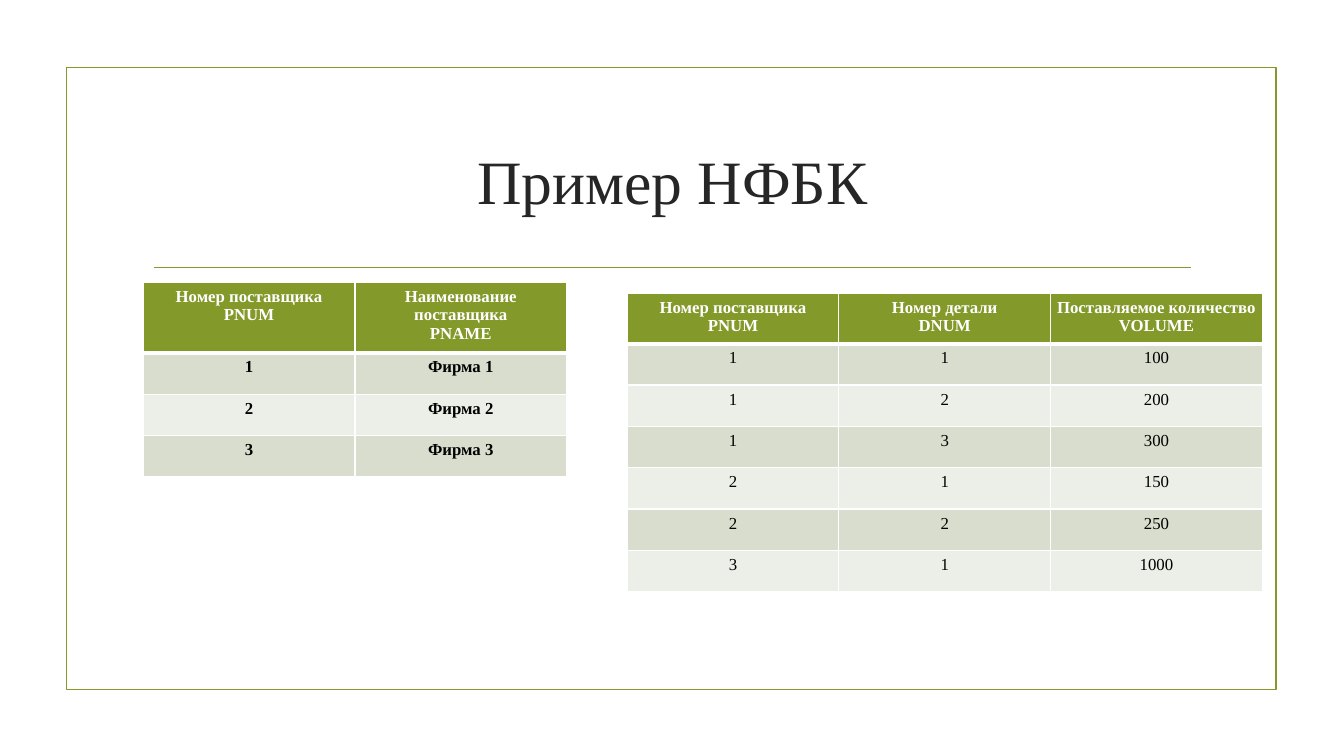
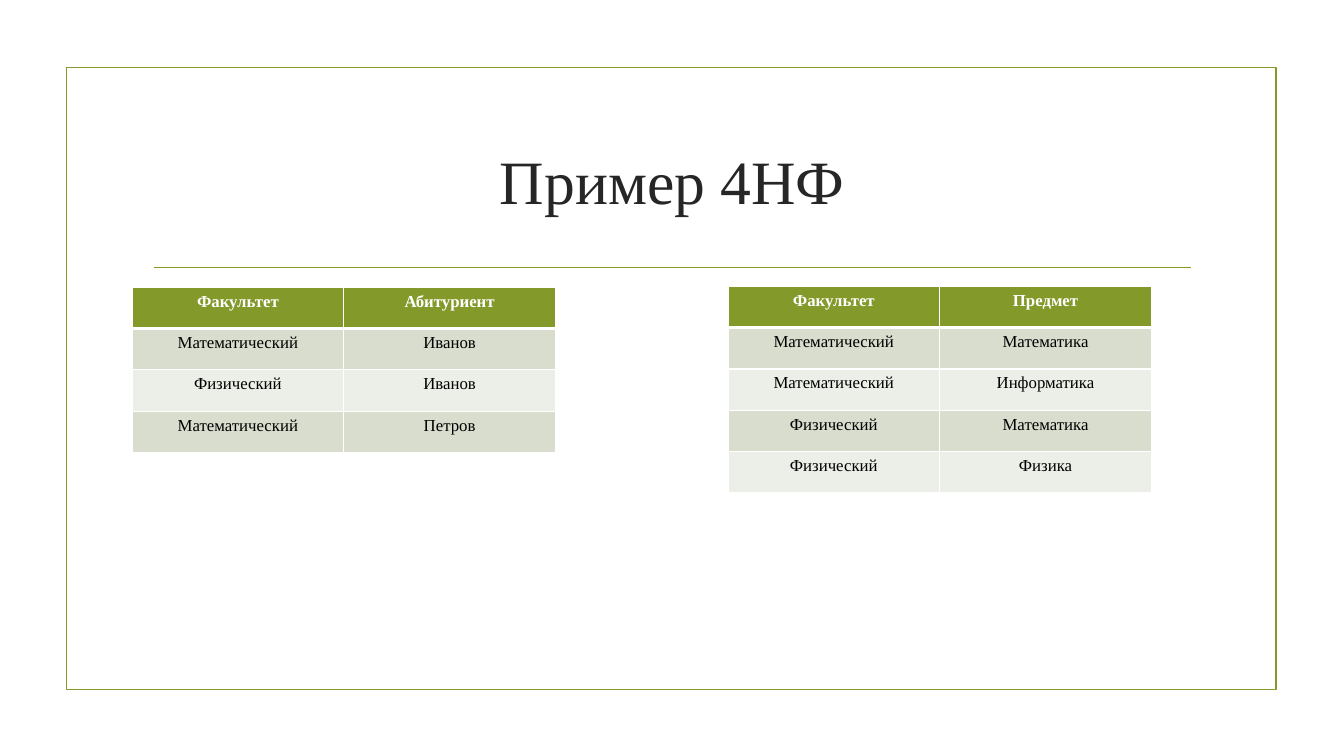
from dataclasses import dataclass

from pptx import Presentation
from pptx.dml.color import RGBColor
from pptx.enum.shapes import MSO_CONNECTOR, MSO_SHAPE
from pptx.enum.text import MSO_ANCHOR, PP_ALIGN
from pptx.oxml.ns import qn
from pptx.slide import Slide
from pptx.table import _Cell as Cell
from pptx.text.text import _Paragraph as Paragraph
from pptx.util import Inches, Pt
from lxml.etree import SubElement

# Shared style
GREEN = RGBColor(0x83, 0x99, 0x2A)
TITLE_GRAY = RGBColor(0x26, 0x26, 0x26)
BLACK = RGBColor(0x00, 0x00, 0x00)
WHITE = RGBColor(0xFF, 0xFF, 0xFF)
BAND_COLORS = (RGBColor(0xD8, 0xDD, 0xCD), RGBColor(0xEC, 0xEF, 0xE7))
FONT = "Times New Roman"
COLUMN_WIDTH = Inches(2.1)
ROW_HEIGHT = Inches(0.41)
THIN_BORDER = Pt(0.96)
HEADER_BORDER = Pt(3)


@dataclass(frozen=True)
class TableSpec:
    left: float
    top: float
    header: tuple[str, ...]
    rows: tuple[tuple[str, ...], ...]
    bold_body: bool = False


@dataclass(frozen=True)
class SlideSpec:
    title: str
    tables: tuple[TableSpec, ...]


SLIDES = (
    SlideSpec("Пример НФБК", (
        TableSpec(
            1.42, 2.8,
            ("Номер поставщика\nPNUM", "Наименование поставщика\nPNAME"),
            (("1", "Фирма 1"), ("2", "Фирма 2"), ("3", "Фирма 3")),
            bold_body=True,
        ),
        TableSpec(
            6.22, 2.91,
            ("Номер поставщика\nPNUM", "Номер детали\nDNUM",
             "Поставляемое количество\nVOLUME"),
            (("1", "1", "100"), ("1", "2", "200"), ("1", "3", "300"),
             ("2", "1", "150"), ("2", "2", "250"), ("3", "1", "1000")),
        ),
    )),
    SlideSpec("Пример 4НФ", (
        TableSpec(
            1.31, 2.85,
            ("Факультет", "Абитуриент"),
            (("Математический", "Иванов"), ("Физический", "Иванов"),
             ("Математический", "Петров")),
        ),
        TableSpec(
            7.22, 2.84,
            ("Факультет", "Предмет"),
            (("Математический", "Математика"), ("Математический", "Информатика"),
             ("Физический", "Математика"), ("Физический", "Физика")),
        ),
    )),
)


def write_text(paragraph: Paragraph, text: str, size: float,
               color: RGBColor, bold: bool = False) -> None:
    paragraph.text = text
    paragraph.alignment = PP_ALIGN.CENTER
    font = paragraph.font
    font.name, font.size, font.bold = FONT, Pt(size), bold
    font.color.rgb = color


def add_frame(slide: Slide) -> None:
    """Draw the border and the rule under the title."""
    frame = slide.shapes.add_shape(
        MSO_SHAPE.RECTANGLE, Inches(0.66), Inches(0.67), Inches(12), Inches(6.17))
    frame.shadow.inherit = False
    frame.fill.background()
    frame.line.color.rgb = GREEN
    frame.line.width = Pt(1.25)

    rule = slide.shapes.add_connector(
        MSO_CONNECTOR.STRAIGHT, Inches(1.53), Inches(2.65), Inches(11.81), Inches(2.65))
    rule.line.color.rgb = GREEN
    rule.line.width = Pt(0.75)
    SubElement(rule._element.spPr, qn("a:effectLst"))


def add_title(slide: Slide, text: str) -> None:
    box = slide.shapes.add_textbox(Inches(1.42), Inches(1.07), Inches(10.5), Inches(1.43))
    box.text_frame.word_wrap = True
    box.text_frame.vertical_anchor = MSO_ANCHOR.MIDDLE
    write_text(box.text_frame.paragraphs[0], text, 44, TITLE_GRAY)


def set_borders(cell: Cell, top: int, bottom: int) -> None:
    """Give a cell white borders; call before its fill is set."""
    properties = cell._tc.get_or_add_tcPr()
    widths = {"lnL": THIN_BORDER, "lnR": THIN_BORDER, "lnT": top, "lnB": bottom}
    for side, width in widths.items():
        line = SubElement(properties, qn(f"a:{side}"), w=str(int(width)))
        fill = SubElement(line, qn("a:solidFill"))
        SubElement(fill, qn("a:srgbClr"), val=str(WHITE))


def add_data_table(slide: Slide, spec: TableSpec) -> None:
    rows = (spec.header, *spec.rows)
    table = slide.shapes.add_table(
        len(rows), len(spec.header), Inches(spec.left), Inches(spec.top),
        COLUMN_WIDTH * len(spec.header), ROW_HEIGHT * len(rows)).table
    for column in table.columns:
        column.width = COLUMN_WIDTH
    for row_index, values in enumerate(rows):
        is_header = row_index == 0
        table.rows[row_index].height = ROW_HEIGHT
        top = HEADER_BORDER if row_index == 1 else THIN_BORDER
        bottom = HEADER_BORDER if is_header else THIN_BORDER
        for column_index, value in enumerate(values):
            cell = table.cell(row_index, column_index)
            cell.margin_left = cell.margin_right = Inches(0.03)
            cell.margin_top = cell.margin_bottom = Inches(0.05)
            set_borders(cell, top, bottom)
            cell.fill.solid()
            cell.fill.fore_color.rgb = GREEN if is_header else BAND_COLORS[(row_index - 1) % 2]
            write_text(cell.text_frame.paragraphs[0], value, 12,
                       WHITE if is_header else BLACK, is_header or spec.bold_body)


def main() -> None:
    presentation = Presentation()
    presentation.slide_width = Inches(13.33)
    presentation.slide_height = Inches(7.5)
    blank_layout = presentation.slide_layouts[6]
    for spec in SLIDES:
        slide = presentation.slides.add_slide(blank_layout)
        add_frame(slide)
        add_title(slide, spec.title)
        for table in spec.tables:
            add_data_table(slide, table)
    presentation.save("out.pptx")


if __name__ == "__main__":
    main()
